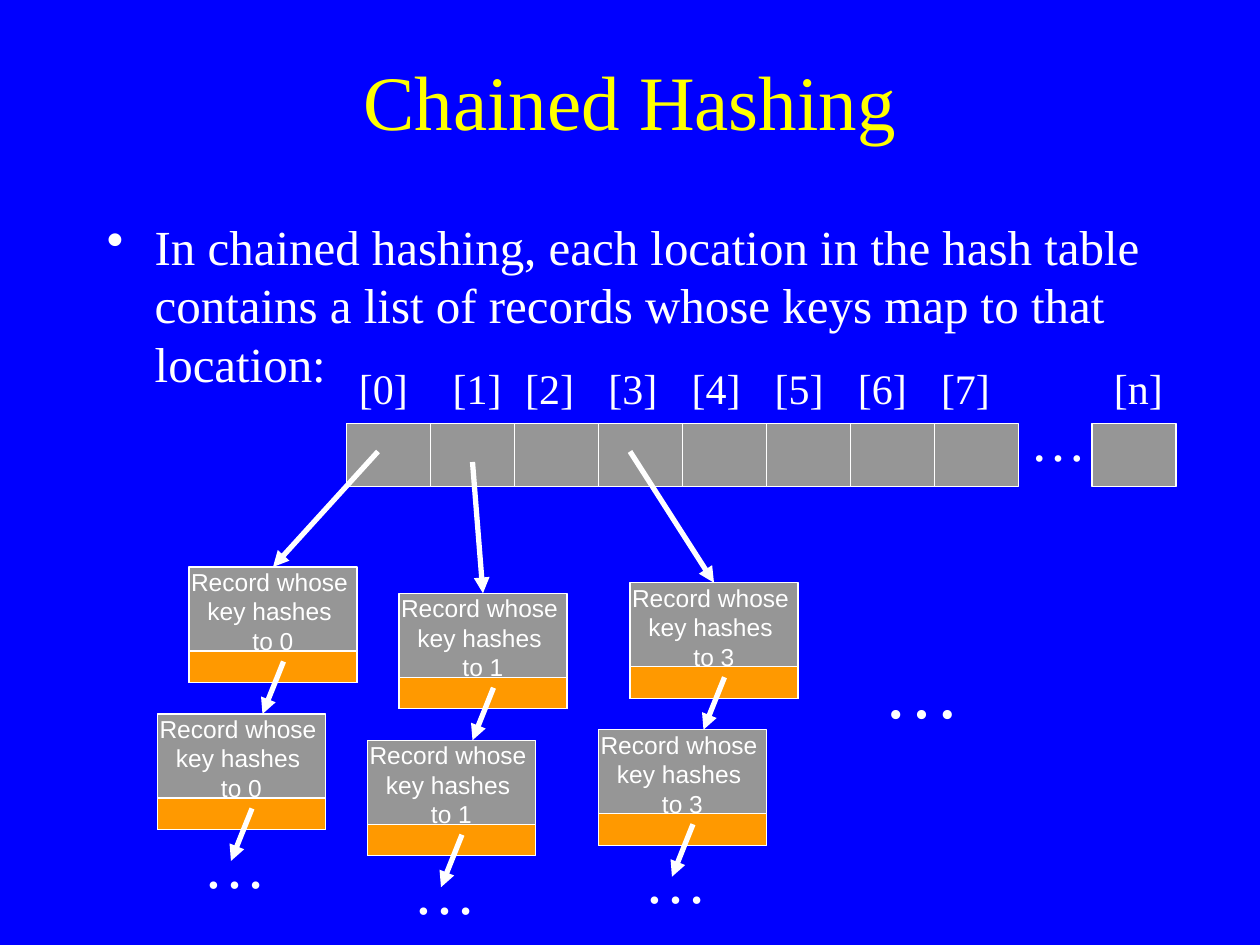
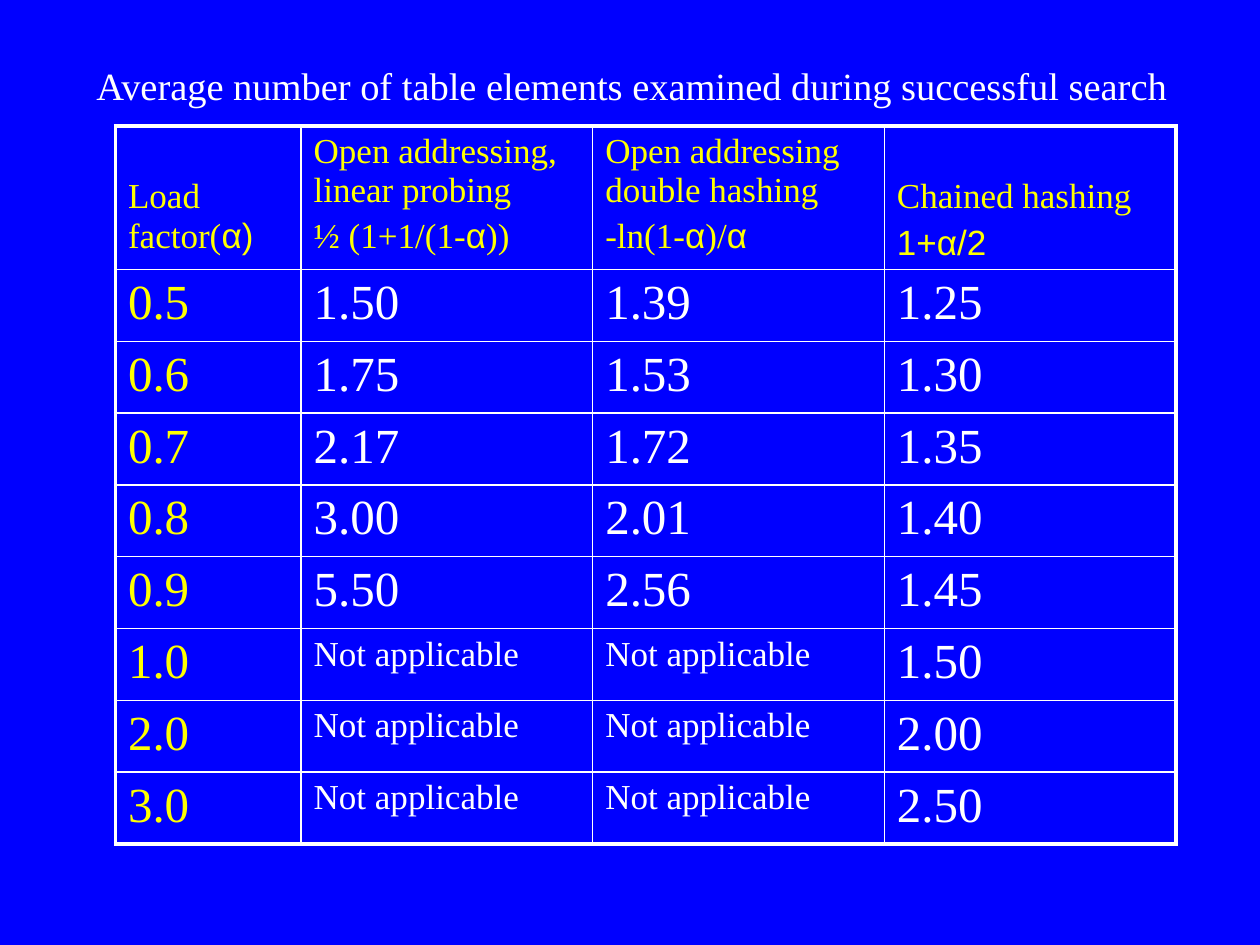
from lxml import etree
from pptx import Presentation
from pptx.dml.color import RGBColor
from pptx.enum.shapes import MSO_CONNECTOR, MSO_SHAPE
from pptx.enum.text import MSO_ANCHOR, MSO_AUTO_SIZE, PP_ALIGN
from pptx.oxml.ns import qn
from pptx.util import Inches, Pt

RECT, LINE = MSO_SHAPE.RECTANGLE, MSO_CONNECTOR.STRAIGHT
TOP, MID = MSO_ANCHOR.TOP, MSO_ANCHOR.MIDDLE
LEFT, MIDDLE = PP_ALIGN.LEFT, PP_ALIGN.CENTER
GROW = MSO_AUTO_SIZE.SHAPE_TO_FIT_TEXT
HUES = {"back": "0000FF", "title": "FFFF00", "text": "FFFFFF",
        "slot": "969696", "link": "FF9900"}
SERIF, SANS = "Times New Roman", "Arial"
COLS, ROWS = 120, 90
UNIT = Inches(10) // COLS
DOTS = "…"
CHAINS = [(0, 18, 54, (36, 43)), (1, 38, 56.5, (45, 44)), (3, 60, 55.5, (60, 43))]
HEADS = [["Load factor(|α)"],
         ["Open addressing, linear probing", "½ (1+1/(1-|α|))"],
         ["Open addressing double hashing", "-ln(1-|α|)/|α"],
         ["Chained hashing", "|1+α/2"]]
NONE = "Not applicable"
DATA = [("0.5", "1.50", "1.39", "1.25"),
        ("0.6", "1.75", "1.53", "1.30"),
        ("0.7", "2.17", "1.72", "1.35"),
        ("0.8", "3.00", "2.01", "1.40"),
        ("0.9", "5.50", "2.56", "1.45"),
        ("1.0", NONE, NONE, "1.50"),
        ("2.0", NONE, NONE, "2.00"),
        ("3.0", NONE, NONE, "2.50")]


def span(*vals):
    """Turn grid counts into lengths."""
    return [round(v * UNIT) for v in vals]


def hue(name):
    """Look up a colour."""
    return RGBColor.from_string(HUES[name])


def write(frame, paras, size=28, font=SERIF, color="text", align=LEFT, gap=0, dot=None):
    """Fill a frame; parts between bars in a paragraph are set in the sans font."""
    for num, text in enumerate(paras):
        para = frame.add_paragraph() if num else frame.paragraphs[0]
        if dot:
            props = para._p.get_or_add_pPr()
            props.set("marL", str(Inches(0.38)))
            props.set("indent", str(-Inches(0.38)))
            etree.SubElement(props, qn("a:buChar")).set("char", dot)
        para.alignment = align
        if num and gap:
            para.space_before = Pt(size * gap)
        for odd, part in enumerate(text.split("|")):
            if part:
                run = para.add_run()
                run.text = part
                run.font.size = Pt(size)
                run.font.name = SANS if odd % 2 else font
                run.font.color.rgb = hue(color)


def label(slide, box, text, wrap=False, anchor=TOP, **form):
    """Place a text box on the grid."""
    frame = slide.shapes.add_textbox(*span(*box)).text_frame
    frame.word_wrap, frame.vertical_anchor = wrap, anchor
    if not wrap:
        frame.auto_size = GROW
    write(frame, [text], **form)


def block(slide, box, fill):
    """Draw an outlined rectangle."""
    shape = slide.shapes.add_shape(RECT, *span(*box))
    shape.shadow.inherit = False
    shape.fill.solid()
    shape.fill.fore_color.rgb = hue(fill)
    shape.line.color.rgb = hue("text")
    shape.line.width = Pt(0.75)
    return shape


def arrow(slide, start, end, goal=None):
    """Draw an arrow, joined to the top of its goal if there is one."""
    link = slide.shapes.add_connector(LINE, *span(*start, *end))
    if goal is not None:
        link.end_connect(goal, 0)
    link.line.color.rgb = hue("text")
    link.line.width = Pt(3)
    etree.SubElement(link.line._get_or_add_ln(), qn("a:tailEnd")).set("type", "triangle")
    etree.SubElement(link._element.spPr, qn("a:effectLst"))


def record(slide, x, y, key):
    """Draw a record with its link field and the arrow that leaves it."""
    card = block(slide, (x, y, 16, 11), "slot")
    frame = card.text_frame
    frame.word_wrap, frame.vertical_anchor = False, TOP
    frame.margin_top = frame.margin_bottom = 0
    write(frame, ["Record whose ", "key hashes ", f"to {key}"],
          size=14, font=SANS, align=MIDDLE)
    block(slide, (x, y + 8, 16, 3), "link")
    arrow(slide, (x + 9, y + 9), (x + 7, y + 14))
    return card


def chain(slide, x, y, key, start):
    """Draw the list of records that hangs from one slot."""
    first = record(slide, x, y, key)
    record(slide, x - 3, y + 14, key)
    label(slide, (x + 0.25, y + 24, 8.4, 8.4), DOTS, size=36)
    arrow(slide, start, (x + 8, y), first)


def slots(slide, x, y):
    """Draw the hash table with its index labels."""
    for num in range(8):
        block(slide, (x + 8 * num, y, 8, 6), "slot")
        left = x + 7.92 * num + (num == 1)
        label(slide, (left, y - 6.36, 7.1, 6), f"[{num}]", size=24)
    block(slide, (x + 71, y, 8, 6), "slot")
    label(slide, (x + 64, y - 2.3, 7.8, 7.5), DOTS, size=32)
    label(slide, (x + 71.9, y - 6.36, 7.1, 6), "[n]", size=24)


def edge(cell, sides):
    """Set the border widths of a cell in the order left, right, top, bottom."""
    props = cell._tc.get_or_add_tcPr()
    for side, wide in zip("LRTB", sides):
        line = etree.SubElement(props, qn(f"a:ln{side}"), w=str(Pt(wide)))
        fill = etree.SubElement(line, qn("a:solidFill"))
        etree.SubElement(fill, qn("a:srgbClr"), val=HUES["text"])


def grid(slide, box):
    """Place the table of search costs."""
    rows, cols = len(DATA) + 1, len(HEADS)
    table = slide.shapes.add_table(rows, cols, *span(*box)).table
    table.first_row = table.horz_banding = False
    for num, col in enumerate(table.columns):
        col.width = round(box[2] * UNIT * (0.275 if num else 0.175))
    for num, row in enumerate(table.rows):
        row.height = Inches(0.57 if num else 1.14)
    for r, line in enumerate([HEADS] + DATA):
        for c, text in enumerate(line):
            cell = table.cell(r, c)
            tests = (c == 0, c == cols - 1, r == 0, r == rows - 1)
            edge(cell, [2.25 if outer else 1 for outer in tests])
            cell.fill.background()
            if r == 0 and c in (0, cols - 1):
                cell.margin_top = Inches(0.41)
            write(cell.text_frame, text if r == 0 else [text], gap=0.2,
                  size=20 if r == 0 or text == NONE else 28,
                  color="title" if r == 0 or c == 0 else "text")


def page(deck):
    """Add a blank slide with the shared background."""
    slide = deck.slides.add_slide(deck.slide_layouts[6])
    slide.background.fill.solid()
    slide.background.fill.fore_color.rgb = hue("back")
    return slide


def chained(deck):
    """Build the slide that shows chained hashing."""
    slide = page(deck)
    label(slide, (9, 2, 102, 15), "Chained Hashing", wrap=True, anchor=MID,
          size=44, color="title", align=MIDDLE)
    label(slide, (9, 20, 102, 54),
          "In chained hashing, each location in the hash table contains a list "
          "of records whose keys map to that location:", wrap=True, dot="•")
    slots(slide, 33, 40.33)
    for key, x, y, start in CHAINS:
        chain(slide, x, y, key, start)
    label(slide, (83, 60.5, 9.7, 10), DOTS, size=44)


def costs(deck):
    """Build the slide that compares search costs."""
    slide = page(deck)
    grid(slide, (11, 12, 101, 68.4))
    label(slide, (8, 5.3, 104.8, 5.6),
          "Average number of table elements examined during successful search", size=22)


def main():
    """Build and save the deck."""
    deck = Presentation()
    deck.slide_width, deck.slide_height = span(COLS, ROWS)
    chained(deck)
    costs(deck)
    deck.save("out.pptx")


if __name__ == "__main__":
    main()
